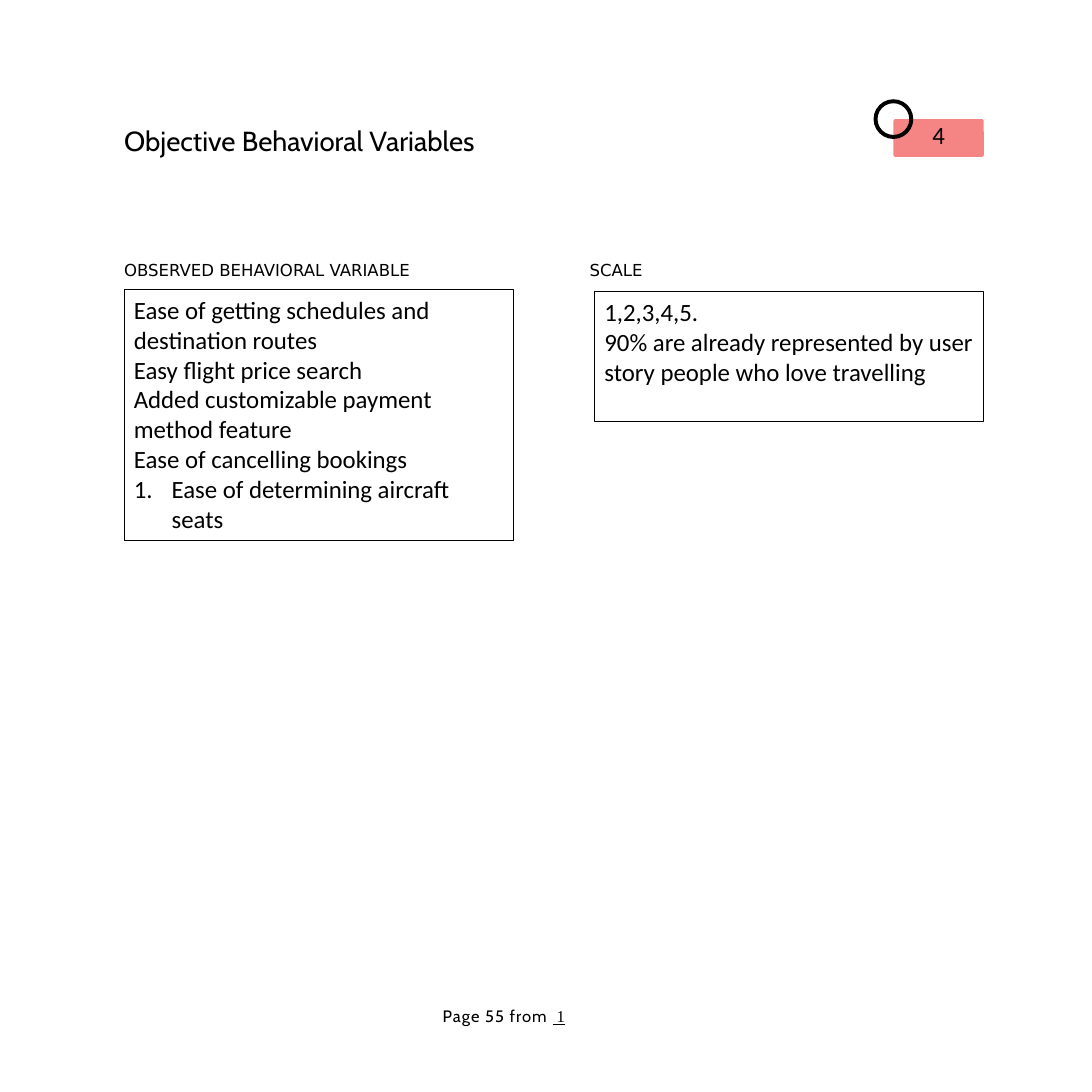
from lxml.etree import SubElement
from pptx import Presentation
from pptx.dml.color import RGBColor
from pptx.enum.shapes import MSO_SHAPE
from pptx.enum.text import MSO_ANCHOR, MSO_AUTO_SIZE, PP_ALIGN
from pptx.oxml.ns import qn
from pptx.util import Inches, Pt

# Content
TITLE = "Objective Behavioral Variables"
BADGE = "4"
COLUMNS = [
    {"heading": "OBSERVED BEHAVIORAL VARIABLE",
     "plain": ["Ease of getting schedules and destination routes",
               "Easy flight price search",
               "Added customizable payment method feature",
               "Ease of cancelling bookings"],
     "numbered": ["Ease of determining aircraft seats"],
     "heading_left": 1.25, "box": (1.25, 2.92, 3.92, 2.52)},
    {"heading": "SCALE",
     "plain": ["1,2,3,4,5.",
               "90% are already represented by user story people who love travelling"],
     "numbered": [],
     "heading_left": 5.94, "box": (5.99, 2.94, 3.92, 1.31)},
]
FOOTER = "Page 55 from "
FOOTER_TOTAL = " 1"

# Look and measures
COLORS = {"ink": "000000", "badge": "F58585"}
SIDE = 11
HEADING_TOP, HEADING_WIDTH, HEADING_HEIGHT = 2.61, 3.08, 0.22
BADGE_LEFT, BADGE_TOP, BADGE_WIDTH, BADGE_HEIGHT = 9, 1.2, 0.91, 0.38
RING_SIZE, RING_STROKE = 0.4, 0.04
HANGING = Inches(0.38)


def color(name):
    return RGBColor.from_string(COLORS[name])


def set_font(font, name, size):
    font.name, font.size = name, Pt(size)
    font.color.rgb = color("ink")


def prepare(frame, sides=0.0, top=0.0):
    frame.word_wrap = True
    frame.auto_size = MSO_AUTO_SIZE.NONE
    frame.vertical_anchor = MSO_ANCHOR.TOP
    frame.margin_left = frame.margin_right = Inches(sides)
    frame.margin_top = frame.margin_bottom = Inches(top)
    return frame


def write(paragraph, text, name, size, align=PP_ALIGN.LEFT):
    paragraph.text = text
    paragraph.alignment = align
    set_font(paragraph.font, name, size)


def number(paragraph):
    properties = paragraph._p.get_or_add_pPr()
    properties.set("marL", str(HANGING))
    properties.set("indent", str(-HANGING))
    SubElement(properties, qn("a:buFont"), typeface="+mj-lt")
    SubElement(properties, qn("a:buAutoNum"), type="arabicPeriod")


def add_preset(slide, preset, place, fill=None):
    shape = slide.shapes.add_shape(preset, *map(Inches, place))
    shape.shadow.inherit = False
    if fill:
        shape.fill.solid()
        shape.fill.fore_color.rgb = color(fill)
        shape.line.fill.background()
    else:
        shape.fill.background()
        shape.line.color.rgb = color("ink")
        shape.line.width = Pt(0.75)
    return shape


def add_text(slide, place, top=0.0):
    return prepare(slide.shapes.add_textbox(*map(Inches, place)).text_frame, top=top)


def main():
    deck = Presentation()
    deck.slide_width = deck.slide_height = Inches(SIDE)
    slide = deck.slides.add_slide(deck.slide_layouts[5])

    # Title
    title = slide.shapes.title
    title.left, title.top, title.width, title.height = map(Inches, (1.25, 1.23, 4.62, 0.35))
    write(prepare(title.text_frame, top=0.02).paragraphs[0], TITLE, "Cabin", 20)

    # Number badge with a ring centred on its corner
    badge = add_preset(slide, MSO_SHAPE.ROUNDED_RECTANGLE,
                       (BADGE_LEFT, BADGE_TOP, BADGE_WIDTH, BADGE_HEIGHT), "badge")
    badge.adjustments[0] = 0.05
    write(prepare(badge.text_frame).paragraphs[0], BADGE, "Calibri", 18, PP_ALIGN.CENTER)
    ring = add_preset(slide, MSO_SHAPE.DONUT,
                      (BADGE_LEFT - RING_SIZE / 2, BADGE_TOP - RING_SIZE / 2,
                       RING_SIZE, RING_SIZE), "ink")
    ring.adjustments[0] = RING_STROKE / RING_SIZE

    # Headed boxes
    for column in COLUMNS:
        heading = add_text(slide, (column["heading_left"], HEADING_TOP,
                                   HEADING_WIDTH, HEADING_HEIGHT), top=0.01)
        write(heading.paragraphs[0], column["heading"], "DejaVu Sans", 12)
        box = add_preset(slide, MSO_SHAPE.RECTANGLE, column["box"])
        frame = prepare(box.text_frame, sides=0.1, top=0.05)
        for index, line in enumerate(column["plain"] + column["numbered"]):
            paragraph = frame.add_paragraph() if index else frame.paragraphs[0]
            if line in column["numbered"]:
                number(paragraph)
            write(paragraph, line, "Calibri", 18)

    # Page footer
    footer = add_text(slide, (4.46, 10.14, 1.41, 0.2)).paragraphs[0]
    footer.line_spacing = Pt(14.1)
    page = footer.add_run()
    page.text = FOOTER
    set_font(page.font, "Cabin", 12)
    page._r.get_or_add_rPr().set("spc", "70")
    total = footer.add_run()
    total.text = FOOTER_TOTAL
    set_font(total.font, "Times New Roman", 12)
    total.font.underline = True

    deck.save("out.pptx")


if __name__ == "__main__":
    main()
